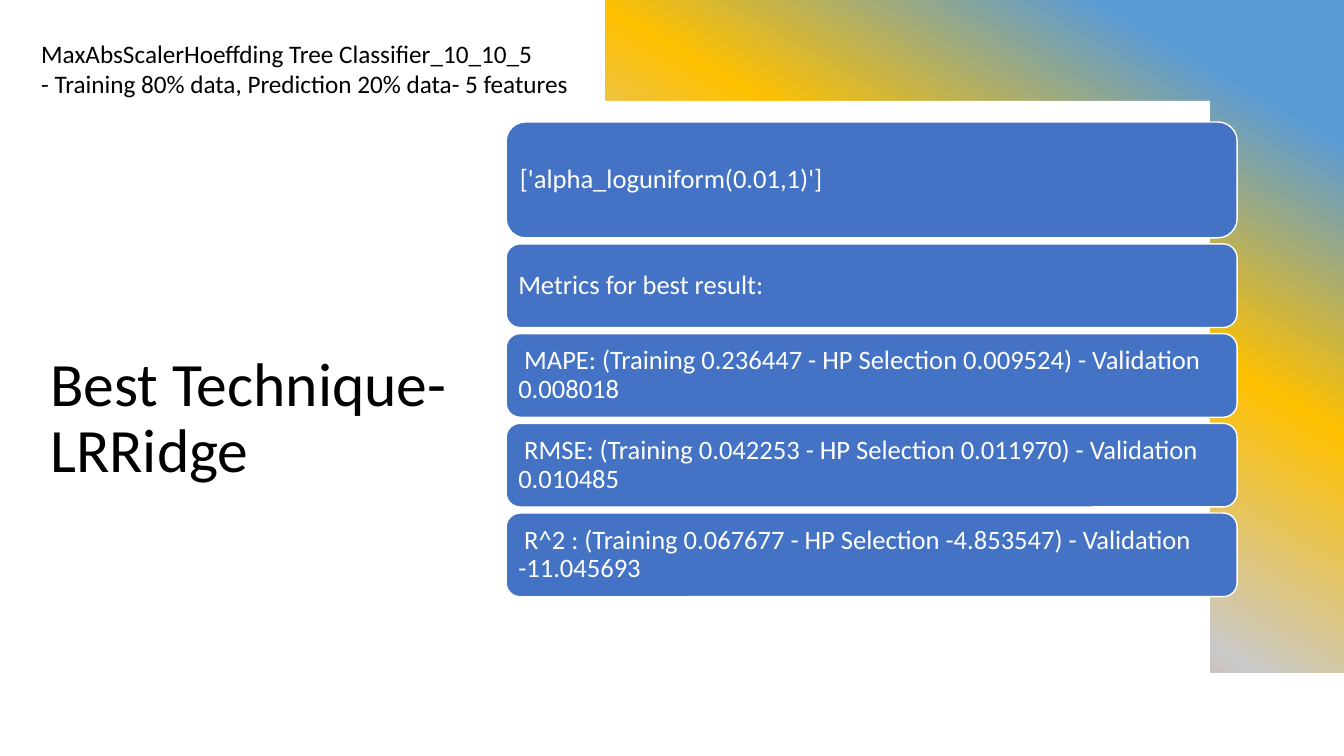
from dataclasses import dataclass

import lxml.etree
import pptx
import pptx.dml.color
import pptx.enum.shapes
import pptx.enum.text
import pptx.oxml.ns
import pptx.util

Inches = pptx.util.Inches
Shape = pptx.enum.shapes.MSO_SHAPE
Anchor = pptx.enum.text.MSO_ANCHOR
Align = pptx.enum.text.PP_ALIGN


@dataclass(frozen=True)
class Theme:
    font: str = "Calibri"
    black: str = "000000"
    white: str = "FFFFFF"
    blue: str = "4472C4"
    blend: tuple = ((10, "5B9BD5"), (30, "FFC000"), (50, "C9C9C9"),
                    (70, "ED7D31"), (90, "4472C4"))
    angle: int = 120
    title: int = 44
    card: int = 19
    note: int = 18


@dataclass(frozen=True)
class Card:
    text: str
    height: float = 0.83


THEME = Theme()
LEFT, TOP, WIDTH, GAP = 5.02, 1.21, 7.25, 0.06
CARDS = [
    Card("['alpha_loguniform(0.01,1)']", 1.15),
    Card("Metrics for best result:"),
    Card(" MAPE: (Training 0.236447 - HP Selection 0.009524) - Validation 0.008018"),
    Card(" RMSE: (Training 0.042253 - HP Selection 0.011970) - Validation 0.010485"),
    Card(" R^2 : (Training 0.067677 - HP Selection -4.853547) - Validation -11.045693"),
]
PANEL = [(0, 0), (5.83, 0), (5.83, 0.84), (12.5, 0.84), (12.5, 6.75), (0, 6.75)]


def color(code: str) -> pptx.dml.color.RGBColor:
    return pptx.dml.color.RGBColor.from_string(code)


def paint(shape, code: str) -> None:
    shape.shadow.inherit = False
    shape.fill.solid()
    shape.fill.fore_color.rgb = color(code)
    shape.line.fill.background()


def blend(shape) -> None:
    """Replace the solid fill with the theme's slanted blend."""
    paint(shape, THEME.white)
    name = pptx.oxml.ns.qn
    solid = shape.fill._xPr.find(name("a:solidFill"))
    grad = lxml.etree.Element(name("a:gradFill"), rotWithShape="1")
    stops = lxml.etree.SubElement(grad, name("a:gsLst"))
    for place, code in THEME.blend:
        stop = lxml.etree.SubElement(stops, name("a:gs"), pos=str(place * 1000))
        lxml.etree.SubElement(stop, name("a:srgbClr"), val=code)
    lxml.etree.SubElement(grad, name("a:lin"), ang=str(THEME.angle * 60000), scaled="0")
    solid.getparent().replace(solid, grad)


def write(shape, text: str, *, size: int, code: str = THEME.black,
          anchor=Anchor.TOP, space: float = 1.0, inset: float | None = None) -> None:
    frame = shape.text_frame
    frame.word_wrap = True
    frame.vertical_anchor = anchor
    if inset is not None:
        frame.margin_left = frame.margin_right = Inches(inset)
        frame.margin_top = frame.margin_bottom = Inches(inset)
    para = frame.paragraphs[0]
    para.text = text
    para.alignment = Align.LEFT
    para.line_spacing = space
    for run in para.runs:
        run.font.name = THEME.font
        run.font.size = pptx.util.Pt(size)
        run.font.color.rgb = color(code)


def add_box(slide, left: float, top: float, width: float, height: float):
    return slide.shapes.add_textbox(*map(Inches, (left, top, width, height)))


def add_card(slide, card: Card, top: float) -> None:
    shape = slide.shapes.add_shape(
        Shape.ROUNDED_RECTANGLE, *map(Inches, (LEFT, top, WIDTH, card.height)))
    paint(shape, THEME.blue)
    shape.line.color.rgb = color(THEME.white)
    shape.line.width = pptx.util.Pt(1)
    write(shape, card.text, size=THEME.card, code=THEME.white,
          anchor=Anchor.MIDDLE, space=0.9, inset=0.08)


def main() -> None:
    deck = pptx.Presentation()
    deck.slide_width, deck.slide_height = Inches(13.33), Inches(7.5)
    slide = deck.slides.add_slide(deck.slide_layouts[6])

    # Blended backdrop with a white panel over it
    back = slide.shapes.add_shape(Shape.RECTANGLE, 0, 0, deck.slide_width, Inches(6.67))
    blend(back)
    build = slide.shapes.build_freeform(*PANEL[0], scale=Inches(1))
    build.add_line_segments(PANEL[1:], close=True)
    paint(build.convert_to_shape(), THEME.white)

    # Title
    write(add_box(slide, 0.4, 1.81, 5.01, 3.06), "Best Technique- LRRidge",
          size=THEME.title, anchor=Anchor.BOTTOM, space=0.9)

    # Stack of result cards
    top = TOP
    for card in CARDS:
        add_card(slide, card, top)
        top += card.height + GAP

    # Note on the data split
    write(add_box(slide, 0.31, 0.33, 6.67, 0.71),
          "MaxAbsScalerHoeffding Tree Classifier_10_10_5\v"
          "- Training 80% data, Prediction 20% data- 5 features",
          size=THEME.note)

    deck.save("out.pptx")


if __name__ == "__main__":
    main()
